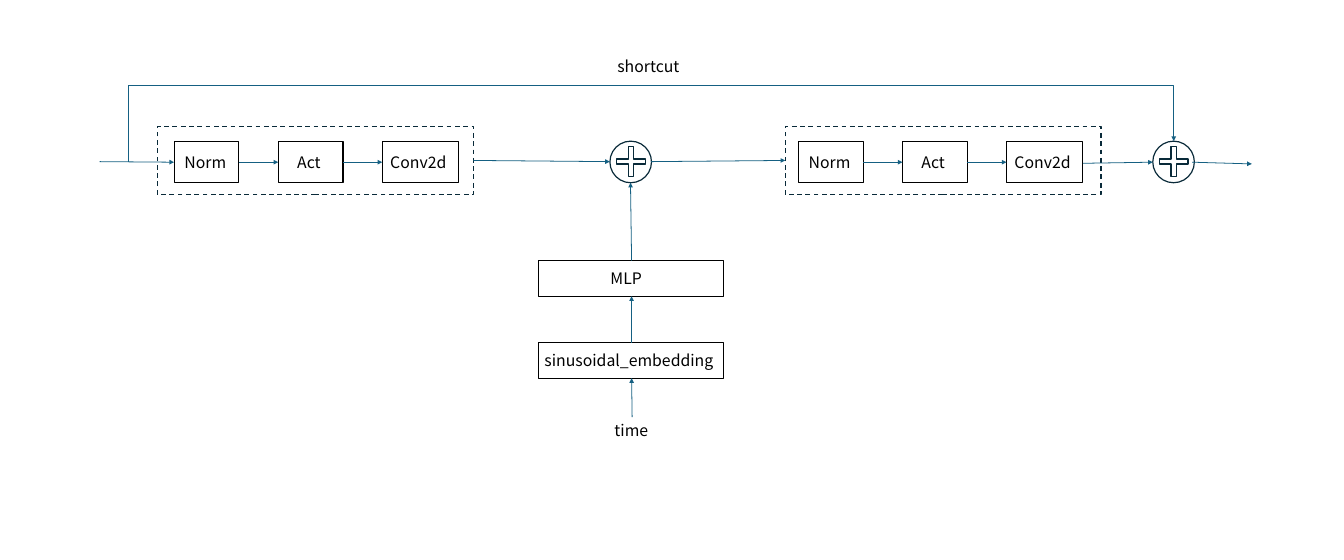
from itertools import pairwise

from lxml.etree import SubElement
from pptx import Presentation
from pptx.dml.color import RGBColor
from pptx.enum.dml import MSO_LINE
from pptx.enum.shapes import MSO_CONNECTOR, MSO_SHAPE
from pptx.enum.text import MSO_ANCHOR, PP_ALIGN
from pptx.oxml.ns import qn
from pptx.util import Pt

BLACK = RGBColor(0x00, 0x00, 0x00)
NAVY = RGBColor(0x09, 0x2A, 0x39)
TEAL = RGBColor(0x15, 0x60, 0x82)
FONT = "Noto Sans CJK SC"

SLIDE_W, SLIDE_H = 1700.64, 708.48
ROW_TOP, ROW_H = 178.6, 52.6
ROW_MID = 205.2
LAYER_STEP = 131.76
FRAME_TOP, FRAME_W, FRAME_H = 159.8, 399.6, 86.4
TIME_X, TIME_W, TIME_H = 681.8, 234, 45.4
PLUS_W = 49.7

# label, box width, left inset of the text
LAYERS = [("Norm", 82, 13), ("Act", 82, 24), ("Conv2d", 96.5, 10)]
# frame left, first layer left
BLOCKS = [(199.4, 220.3), (993.6, 1010.2)]
# label, top, left inset of the text
TIME_STEPS = [("MLP", 329.8, 90.7), ("sinusoidal_embedding", 433.4, 7.2)]
ADDERS = [771.8, 1458.7]
# label, left, top, width
LABELS = [("time", 770.4, 527.8, 58.3), ("shortcut", 774, 68.4, 95)]
# start, end
ARROWS = [
    ((126, 204.5), (220.3, 205.2)),
    ((599, 203), (771.8, 204.5)),
    ((823.7, 204.5), (993.6, 203)),
    ((1370.2, 206.6), (1458.7, 205.2)),
    ((1508.4, 205.2), (1584, 207.4)),
    ((799.2, 433.4), (799.2, 374.8)),
    ((799.2, 329.8), (797.8, 231.2)),
    ((799.9, 527.8), (799.2, 478.4)),
]
SHORTCUT_START, SHORTCUT_END = (162, 204.5), (1485.2, 178.6)
SHORTCUT_TOP = 108.7


def set_text(s, text, inset):
    tf = s.text_frame
    tf.word_wrap = True
    tf.vertical_anchor = MSO_ANCHOR.MIDDLE
    tf.margin_left = Pt(inset)
    tf.margin_right = tf.margin_top = tf.margin_bottom = 0
    p = tf.paragraphs[0]
    p.text = text
    p.alignment = PP_ALIGN.LEFT
    p.font.name = FONT
    p.font.size = Pt(20)
    p.font.color.rgb = BLACK


def add_outline(shapes, kind, x, y, w, h, color):
    """Add an unfilled preset shape."""
    s = shapes.add_shape(kind, Pt(x), Pt(y), Pt(w), Pt(h))
    s.shadow.inherit = False
    s.fill.background()
    s.line.color.rgb = color
    s.line.width = Pt(1.5)
    return s


def add_box(shapes, text, x, y, w, h, inset):
    s = add_outline(shapes, MSO_SHAPE.RECTANGLE, x, y, w, h, BLACK)
    set_text(s, text, inset)


def add_arrow(shapes, start, end, kind=MSO_CONNECTOR.STRAIGHT):
    s = shapes.add_connector(kind, *map(Pt, start + end))
    s.line.color.rgb = TEAL
    s.line.width = Pt(1)
    SubElement(s.line._get_or_add_ln(), qn("a:tailEnd"), type="triangle")
    SubElement(s._element.spPr, qn("a:effectLst"))
    return s


def add_shortcut(shapes, start, end, top):
    """Add an elbow arrow that rises to top, runs right and drops to end."""
    (x1, y1), (x2, y2) = start, end
    mid_x, mid_y = (x1 + x2) / 2, (y1 + y2) / 2
    half_run, half_rise = (x2 - x1) / 2, (y1 - y2) / 2
    # The elbow is laid out upright, then turned a quarter about its centre.
    s = add_arrow(shapes, (mid_x + half_rise, mid_y + half_run),
                  (mid_x - half_rise, mid_y - half_run), MSO_CONNECTOR.ELBOW)
    sp_pr = s._element.spPr
    sp_pr.find(qn("a:xfrm")).set("rot", str(90 * 60000))
    bend = round((y1 - top) / (y1 - y2) * 100000)
    guides = sp_pr.find(qn("a:prstGeom")).find(qn("a:avLst"))
    SubElement(guides, qn("a:gd"), name="adj1", fmla=f"val {bend}")


def add_block(shapes, frame_x, first_x):
    """Add a dashed frame with its row of layers and the arrows between."""
    frame = add_outline(shapes, MSO_SHAPE.RECTANGLE, frame_x, FRAME_TOP,
                        FRAME_W, FRAME_H, NAVY)
    frame.line.dash_style = MSO_LINE.DASH
    edges = []
    for i, (text, w, inset) in enumerate(LAYERS):
        x = first_x + i * LAYER_STEP
        add_box(shapes, text, x, ROW_TOP, w, ROW_H, inset)
        edges.append((x, x + w))
    for (_, right), (left, _) in pairwise(edges):
        add_arrow(shapes, (right, ROW_MID), (left, ROW_MID))


def add_adder(shapes, x):
    plus_x = x + (ROW_H - PLUS_W) / 2
    plus = add_outline(shapes, MSO_SHAPE.MATH_PLUS, plus_x, ROW_TOP - 0.5,
                       PLUS_W, ROW_H, NAVY)
    plus.adjustments[0] = 0.13
    add_outline(shapes, MSO_SHAPE.OVAL, x, ROW_TOP, ROW_H, ROW_H, NAVY)


def main():
    prs = Presentation()
    prs.slide_width, prs.slide_height = Pt(SLIDE_W), Pt(SLIDE_H)
    shapes = prs.slides.add_slide(prs.slide_layouts[6]).shapes

    for frame_x, first_x in BLOCKS:
        add_block(shapes, frame_x, first_x)
    for text, y, inset in TIME_STEPS:
        add_box(shapes, text, TIME_X, y, TIME_W, TIME_H, inset)
    for x in ADDERS:
        add_adder(shapes, x)
    for start, end in ARROWS:
        add_arrow(shapes, start, end)
    add_shortcut(shapes, SHORTCUT_START, SHORTCUT_END, SHORTCUT_TOP)
    for text, x, y, w in LABELS:
        s = shapes.add_textbox(Pt(x), Pt(y), Pt(w), Pt(31.7))
        set_text(s, text, 7.2)

    prs.save("out.pptx")


if __name__ == "__main__":
    main()
